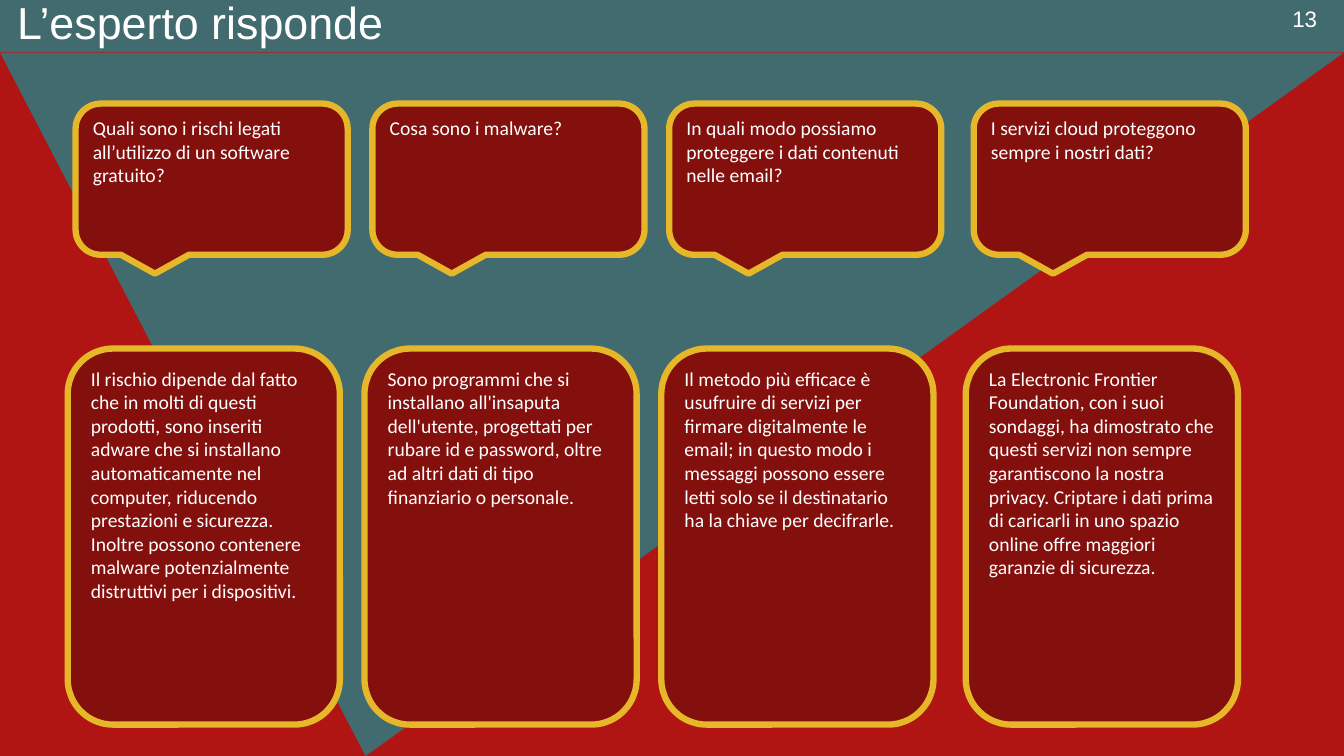
from pptx import Presentation
from pptx.dml.color import RGBColor
from pptx.enum.shapes import MSO_SHAPE
from pptx.enum.text import MSO_ANCHOR, PP_ALIGN
from pptx.util import Pt

RED = RGBColor(0xB0, 0x15, 0x13)
DARK_RED = RGBColor(0x84, 0x10, 0x0E)
TEAL = RGBColor(0x42, 0x6B, 0x6F)
GOLD = RGBColor(0xE6, 0xB7, 0x29)
WHITE = RGBColor(0xFF, 0xFF, 0xFF)

WIDTH, HEIGHT = 960, 540
BAND_HEIGHT = 37.1
TRIANGLE_TOP = 37.5
CARD_WIDTH = 194.4
COLUMNS = (54, 266, 478, 695.5)
ANSWER_SHIFT = -5.6

DIALOGUE = (
    ("Quali sono i rischi legati all’utilizzo di un software gratuito?",
     "Il rischio dipende dal fatto che in molti di questi prodotti, sono inseriti "
     "adware che si installano automaticamente nel computer, riducendo prestazioni "
     "e sicurezza. Inoltre possono contenere malware potenzialmente distruttivi "
     "per i dispositivi."),
    ("Cosa sono i malware?",
     "Sono programmi che si installano all'insaputa dell'utente, progettati per "
     "rubare id e password, oltre ad altri dati di tipo finanziario o personale."),
    ("In quali modo possiamo proteggere i dati contenuti nelle email?",
     "Il metodo più efficace è usufruire di servizi per firmare digitalmente le "
     "email; in questo modo i messaggi possono essere letti solo se il "
     "destinatario ha la chiave per decifrarle."),
    ("I servizi cloud proteggono sempre i nostri dati?",
     "La Electronic Frontier Foundation, con i suoi sondaggi, ha dimostrato che "
     "questi servizi non sempre garantiscono la nostra privacy. Criptare i dati "
     "prima di caricarli in uno spazio online offre maggiori garanzie di sicurezza."),
)


def write(box, text, font_name, size):
    frame = box.text_frame
    frame.text = text
    frame.word_wrap = True
    frame.vertical_anchor = MSO_ANCHOR.TOP
    paragraph = frame.paragraphs[0]
    paragraph.alignment = PP_ALIGN.LEFT
    for span in paragraph.runs:
        span.font.name = font_name
        span.font.size = Pt(size)
        span.font.color.rgb = WHITE


def add_panel(page, kind, left, top, width, height, color):
    panel = page.shapes.add_shape(kind, Pt(left), Pt(top), Pt(width), Pt(height))
    panel.shadow.inherit = False
    panel.fill.solid()
    panel.fill.fore_color.rgb = color
    panel.line.fill.background()
    return panel


def add_card(page, kind, left, top, height, text):
    card = add_panel(page, kind, left, top, CARD_WIDTH, height, DARK_RED)
    card.line.color.rgb = GOLD
    card.line.width = Pt(4.5)
    write(card, text, "Calibri", 14)


def add_background(page):
    page.background.fill.solid()
    page.background.fill.fore_color.rgb = RED
    triangle = add_panel(page, MSO_SHAPE.ISOSCELES_TRIANGLE, 0, TRIANGLE_TOP,
                         WIDTH, HEIGHT - TRIANGLE_TOP, TEAL)
    triangle.rotation = 180
    triangle.adjustments[0] = 0.728
    add_panel(page, MSO_SHAPE.RECTANGLE, 0, 0, WIDTH, BAND_HEIGHT, TEAL)


def add_number(page, text):
    box = page.shapes.add_textbox(Pt(916), Pt(0), Pt(39.6), Pt(26.6))
    write(box, text, "Arial", 16)


def place_title(page, text):
    title = page.shapes.title
    title.left, title.top, title.width, title.height = Pt(5), Pt(-12.2), Pt(905), Pt(26.6)
    write(title, text, "Arial", 32)
    title.text_frame.margin_top = Pt(8.6)
    title.text_frame.margin_bottom = Pt(0)
    title.element.getparent().append(title.element)


def main():
    deck = Presentation()
    deck.slide_width, deck.slide_height = Pt(WIDTH), Pt(HEIGHT)
    page = deck.slides.add_slide(deck.slide_layouts[5])
    add_background(page)
    add_number(page, "13")
    place_title(page, "L’esperto risponde")
    for left, (question, answer) in zip(COLUMNS, DIALOGUE):
        add_card(page, MSO_SHAPE.ROUNDED_RECTANGULAR_CALLOUT, left, 74, 108, question)
        add_card(page, MSO_SHAPE.ROUNDED_RECTANGLE, left + ANSWER_SHIFT, 249, 268.6, answer)
    deck.save("out.pptx")


if __name__ == "__main__":
    main()
